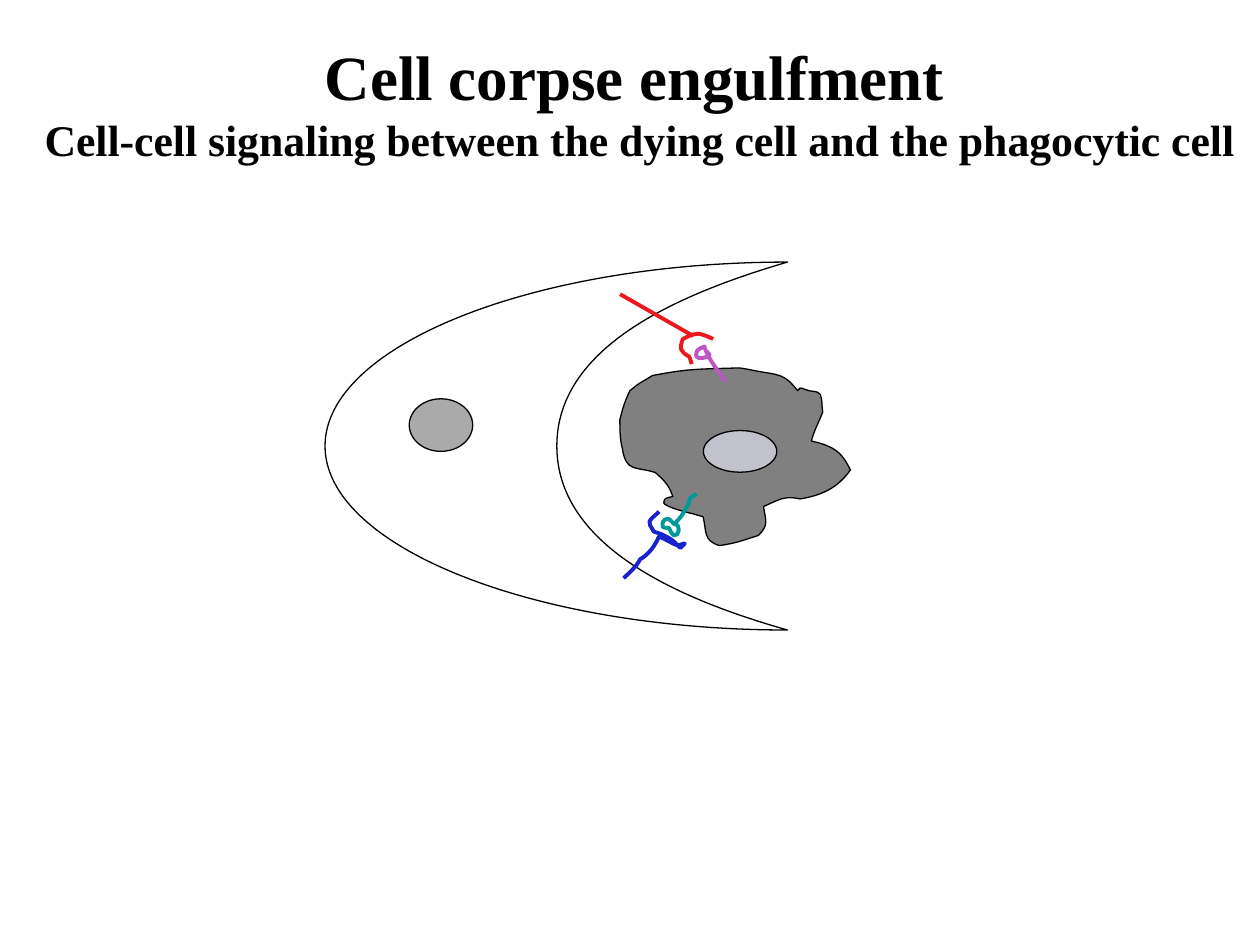
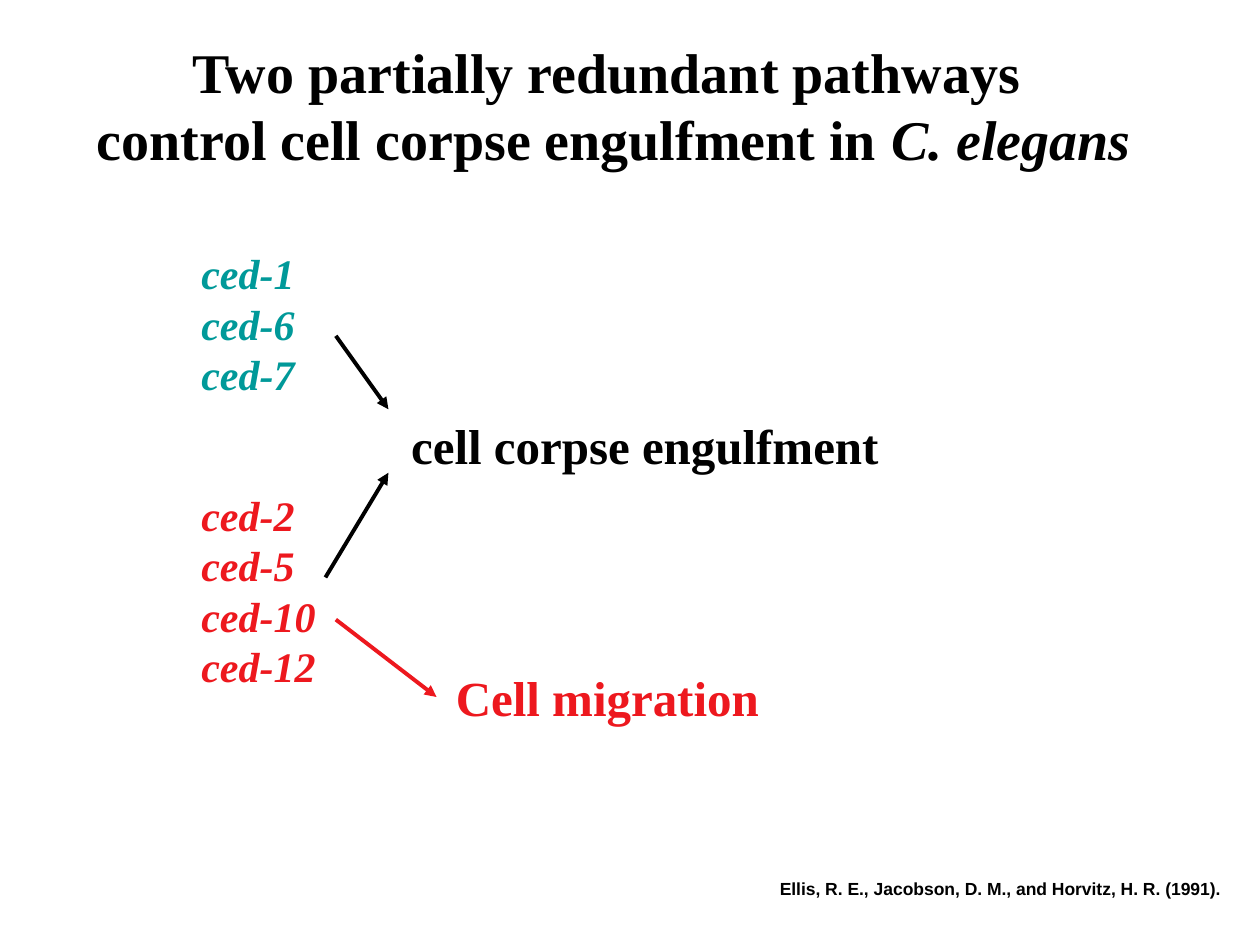
from dataclasses import dataclass

from lxml import etree
from pptx import Presentation
from pptx.dml.color import RGBColor as Rgb
from pptx.enum.shapes import MSO_CONNECTOR as Connector, MSO_SHAPE as Shape
from pptx.enum.text import MSO_ANCHOR as Anchor, MSO_AUTO_SIZE as AutoSize, PP_ALIGN as Align
from pptx.oxml.ns import qn
from pptx.util import Cm, Pt


@dataclass(frozen=True)
class Theme:
    serif: str = "Times New Roman"
    sans: str = "Arial"
    black: str = "000000"
    white: str = "FFFFFF"
    red: str = "ED181E"
    teal: str = "009999"
    blue: str = "1822CD"
    violet: str = "BB56C3"
    corpse: str = "808080"
    corpse_nucleus: str = "C2C2CD"
    nucleus: str = "AAAAAA"
    heading: int = 36
    title: int = 32
    outcome: int = 28
    subtitle: int = 25
    gene: int = 24
    citation: int = 10
    outline: float = 0.75
    stroke: float = 2.25


THEME = Theme()

# Curves are a start point followed by three Bezier points per segment,
# counted in hundredths of 2.54 cm.
UNIT = Cm(2.54) / 100

PHAGOCYTE = [
    (625, 208), (533, 235), (442, 277), (442, 354), (442, 431), (533, 474), (625, 500),
    (424, 500), (258, 434), (258, 354), (258, 274), (424, 208), (625, 208)]

CORPSE = [
    (633, 310), (622, 296), (619, 298), (598, 294), (594, 293), (587, 292), (587, 292),
    (549, 293), (545, 293), (518, 298), (503, 307), (509, 303), (500, 310),
    (496, 318), (494, 325), (492, 333), (492, 341), (492, 349), (494, 356),
    (497, 375), (504, 370), (520, 375), (527, 381), (531, 385), (534, 394),
    (531, 395), (527, 395), (527, 398), (526, 400), (529, 401), (531, 402),
    (535, 404), (546, 407), (551, 408), (553, 409), (558, 410), (558, 410),
    (561, 422), (558, 429), (571, 433), (585, 431), (589, 429), (602, 425),
    (610, 417), (608, 414), (606, 402), (618, 397), (622, 393), (635, 396),
    (653, 393), (665, 387), (675, 373), (671, 365), (667, 358), (657, 354),
    (653, 352), (644, 350), (644, 350), (646, 342), (650, 335), (653, 327),
    (652, 322), (653, 317), (651, 313), (649, 310), (645, 311), (642, 310),
    (640, 310), (638, 308), (635, 308), (634, 308), (634, 310), (633, 310)]

UPPER_LIGAND = [
    (576, 303), (570, 294), (562, 285), (559, 275), (557, 276), (554, 277), (553, 279),
    (550, 287), (561, 284), (563, 282), (564, 281), (561, 280), (561, 279)]

UPPER_RECEPTOR = [
    (566, 269), (564, 268), (555, 264), (553, 265), (549, 265), (542, 269), (542, 269),
    (539, 277), (540, 279), (547, 283), (548, 285), (549, 289), (549, 289)]

LOWER_LIGAND = [
    (553, 392), (552, 393), (549, 394), (548, 395), (547, 397), (547, 399), (546, 401),
    (540, 411), (541, 410), (535, 416), (533, 414), (531, 411), (529, 412),
    (527, 412), (525, 415), (526, 418), (526, 419), (529, 419), (531, 419),
    (532, 421), (533, 424), (535, 425), (539, 426), (541, 416), (535, 416)]

LOWER_RECEPTOR = [
    (523, 406), (521, 409), (513, 413), (516, 417), (517, 418), (518, 421), (519, 422),
    (521, 423), (523, 423), (525, 424), (535, 429), (534, 429), (540, 435),
    (545, 430), (545, 431), (538, 433), (532, 431), (529, 428), (523, 426),
    (520, 433), (515, 440), (508, 444), (505, 450), (500, 454), (495, 459)]


def set_line(shape, color, width):
    shape.line.color.rgb = Rgb.from_string(color)
    shape.line.width = Pt(width)


def set_fill(shape, color):
    shape.fill.solid()
    shape.fill.fore_color.rgb = Rgb.from_string(color)


def style_span(span, size, color=THEME.black, font=THEME.serif, italic=False):
    span.font.size = Pt(size)
    span.font.name = font
    span.font.bold = True
    span.font.italic = italic
    span.font.color.rgb = Rgb.from_string(color)


def add_curve(page, points, line, width=THEME.stroke, fill=None):
    """Draw a smooth outline; a filled one is closed."""
    builder = page.shapes.build_freeform(*points[0], scale=UNIT)
    builder.add_line_segments(points[1:], close=fill is not None)
    curve = builder.convert_to_shape()
    curve.shadow.inherit = False
    set_line(curve, line, width)
    if fill:
        set_fill(curve, fill)
    else:
        curve.fill.background()
    # Turn each three straight segments into one Bezier segment
    segments = list(curve._element.iter(qn("a:lnTo")))[:len(points) - 1]
    for first, second, third in zip(segments[::3], segments[1::3], segments[2::3]):
        first.tag = qn("a:cubicBezTo")
        for extra in (second, third):
            first.append(extra[0])
            extra.getparent().remove(extra)


def add_nucleus(page, left, top, width, height, fill):
    nucleus = page.shapes.add_shape(Shape.OVAL, Cm(left), Cm(top), Cm(width), Cm(height))
    nucleus.shadow.inherit = False
    set_fill(nucleus, fill)
    set_line(nucleus, THEME.black, THEME.outline)


def add_line(page, start, end, color, arrow=False):
    line = page.shapes.add_connector(
        Connector.STRAIGHT, *(Cm(value) for value in (*start, *end)))
    set_line(line, color, THEME.stroke)
    if arrow:
        etree.SubElement(line.line._get_or_add_ln(), qn("a:tailEnd"), type="triangle")
    etree.SubElement(line._element.spPr, qn("a:effectLst"))


def add_text(page, left, top, width, height, lines, size, **style):
    box = page.shapes.add_textbox(Cm(left), Cm(top), Cm(width), Cm(height))
    frame = box.text_frame
    frame.word_wrap = True
    frame.text = "\n".join(lines)
    for para in frame.paragraphs:
        for span in para.runs:
            style_span(span, size, **style)


def add_titled_page(deck, left, width, height, lines, wrap=True):
    """Each title line is a list of (text, size, italic) spans."""
    page = deck.slides.add_slide(deck.slide_layouts[5])
    title = page.shapes.title
    title.left, title.top, title.width, title.height = (
        Cm(left), Cm(0.62), Cm(width), Cm(height))
    frame = title.text_frame
    frame.auto_size = AutoSize.NONE
    frame.vertical_anchor = Anchor.TOP
    frame.word_wrap = wrap
    for index, spans in enumerate(lines):
        para = frame.add_paragraph() if index else frame.paragraphs[0]
        para.alignment = Align.CENTER
        for text, size, italic in spans:
            span = para.add_run()
            span.text = text
            style_span(span, size, italic=italic)
    return page


def build_engulfment_page(deck):
    page = add_titled_page(deck, 0.41, 24.97, 2.84, [
        [("Cell corpse engulfment", THEME.heading, False), (" ", THEME.gene, False)],
        [("Cell-cell signaling between the dying cell and the phagocytic cell",
          THEME.subtitle, False)]])

    # Phagocytic cell and dying cell
    add_curve(page, PHAGOCYTE, THEME.black, THEME.outline, THEME.white)
    add_nucleus(page, 8.25, 8.04, 1.28, 1.06, THEME.nucleus)
    add_curve(page, CORPSE, THEME.black, THEME.outline, THEME.corpse)
    add_nucleus(page, 14.18, 8.68, 1.48, 0.84, THEME.corpse_nucleus)

    # Ligands and receptors
    add_curve(page, UPPER_LIGAND, THEME.violet)
    add_curve(page, UPPER_RECEPTOR, THEME.red)
    add_line(page, (12.5, 5.93), (13.97, 6.77), THEME.red)
    add_curve(page, LOWER_LIGAND, THEME.teal)
    add_curve(page, LOWER_RECEPTOR, THEME.blue)


def build_pathways_page(deck):
    page = add_titled_page(deck, 1.68, 21.39, 2.97, [
        [("Two partially redundant pathways ", THEME.title, False)],
        [("control cell corpse engulfment in ", THEME.title, False),
         ("C. elegans", THEME.title, True)]], wrap=False)

    # Gene groups
    add_text(page, 3.81, 4.87, 3.1, 3.3, ["ced-1", "ced-6", "ced-7"],
             THEME.gene, color=THEME.teal, italic=True)
    add_text(page, 3.81, 9.74, 3.1, 4.32, ["ced-2", "ced-5", "ced-10", "ced-12"],
             THEME.gene, color=THEME.red, italic=True)

    # Outcomes
    add_line(page, (6.77, 6.77), (7.83, 8.25), THEME.black, arrow=True)
    add_line(page, (6.56, 11.64), (7.83, 9.53), THEME.black, arrow=True)
    add_text(page, 8.04, 8.25, 10.16, 1.45, ["cell corpse engulfment"], THEME.outcome)
    add_line(page, (6.77, 12.49), (8.8, 14.05), THEME.red, arrow=True)
    add_text(page, 8.94, 13.34, 7.16, 1.45, ["Cell migration"],
             THEME.outcome, color=THEME.red)

    # Citation
    add_text(page, 15.47, 17.58, 9.8, 1.12,
             ["Ellis, R. E., Jacobson, D. M., and Horvitz, H. R. (1991)."],
             THEME.citation, font=THEME.sans)


def main():
    deck = Presentation()
    deck.slide_width, deck.slide_height = Cm(25.4), Cm(19.05)
    build_engulfment_page(deck)
    build_pathways_page(deck)
    deck.save("out.pptx")


if __name__ == "__main__":
    main()
